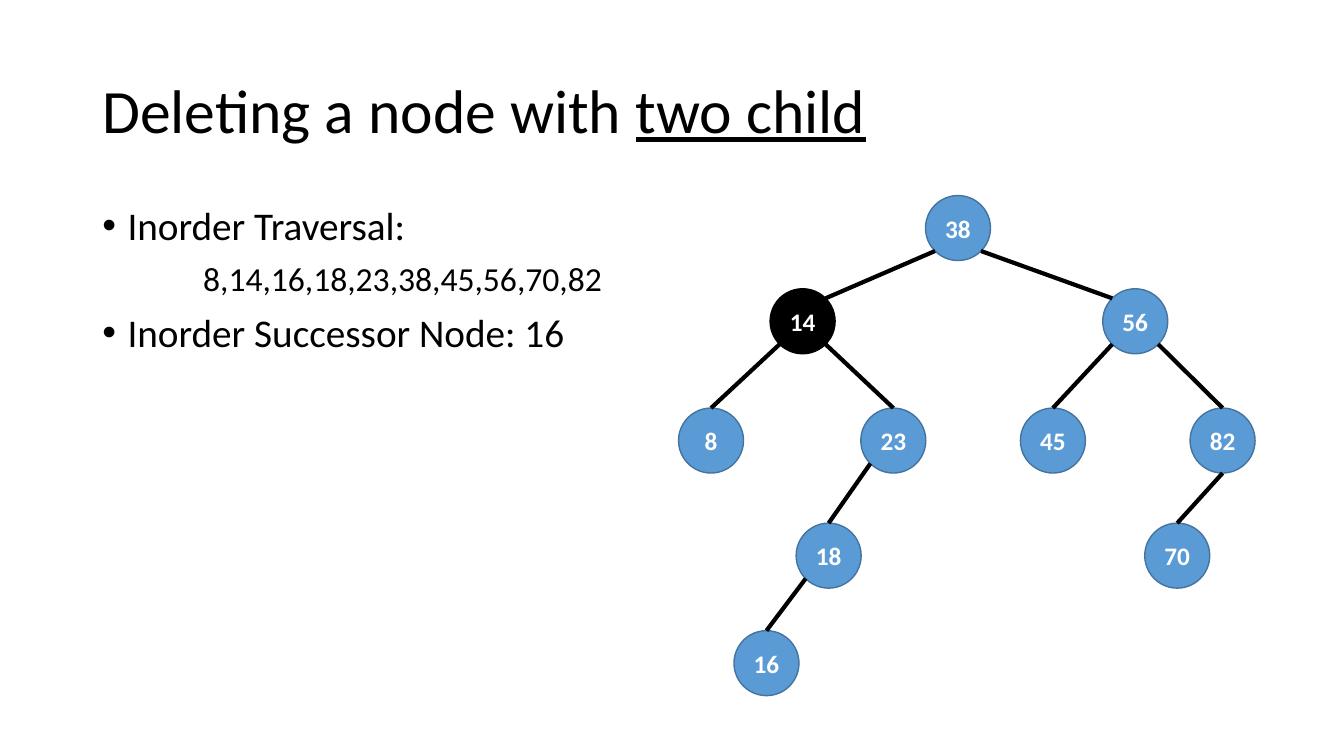
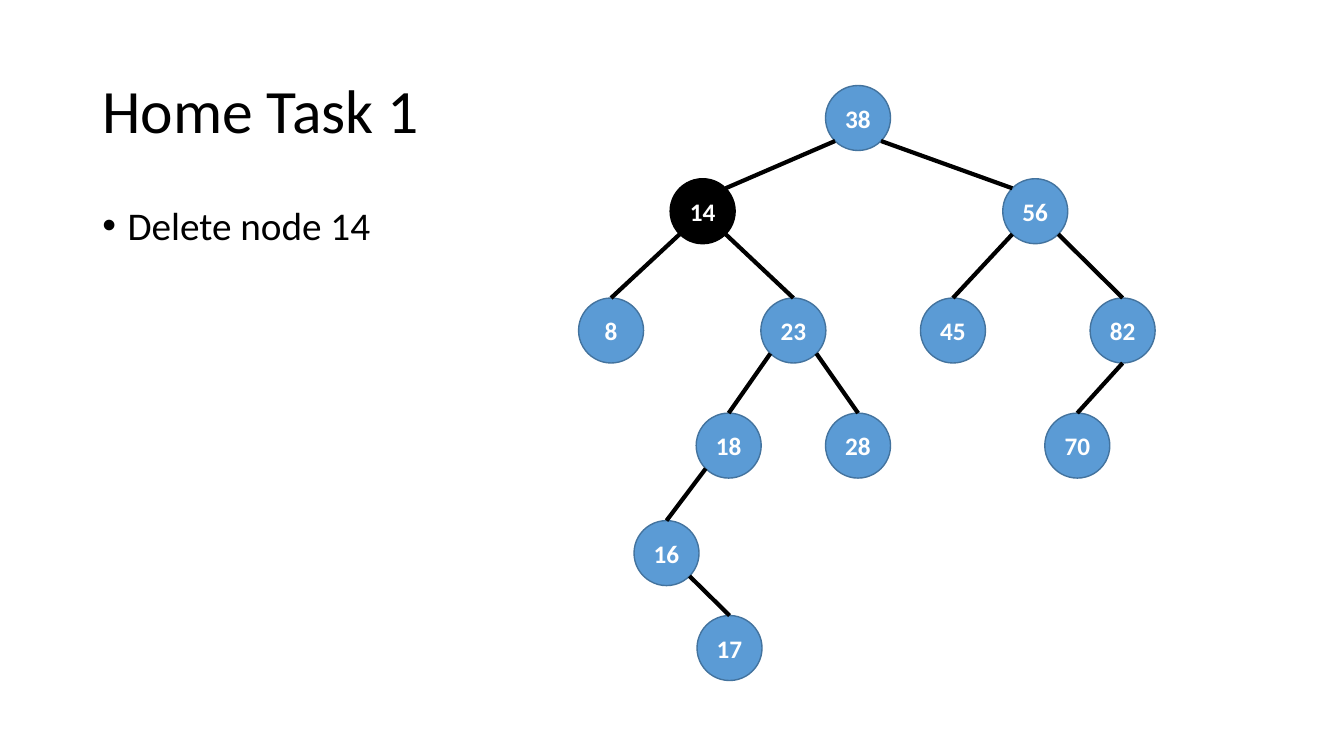
import math

import lxml.etree
import pptx
import pptx.dml.color
import pptx.enum.shapes
import pptx.enum.text
import pptx.oxml.ns
import pptx.util

COLORS = {"ink": "000000", "node": "5B9BD5", "outline": "43739E", "label": "FFFFFF"}
FONTS = {
    "title": {"name": "Calibri", "size": pptx.util.Pt(44)},
    "bullet": {"name": "Calibri", "size": pptx.util.Pt(28)},
    "detail": {"name": "Calibri", "size": pptx.util.Pt(24)},
    "node": {"name": "Calibri", "size": pptx.util.Pt(18), "bold": True},
}
MIDDLE = pptx.enum.text.MSO_ANCHOR.MIDDLE
FRAMES = {
    "title": {"word_wrap": True, "vertical_anchor": MIDDLE},
    "body": {"word_wrap": True},
    "node": {"word_wrap": False, "vertical_anchor": MIDDLE, "margin_left": 0,
             "margin_right": 0, "margin_top": 0, "margin_bottom": 0},
}
INDENTS = {"bullet": (0.25, -0.25), "detail": (1, 0)}
AREAS = {"title": (11, 4.8, 138, 17.4), "body": (11, 24, 68, 57.1)}

LEVELS = [0, 11.1, 25.3, 39, 51.8, 63.1]
RADIUS = 3.87
DIAGONAL = RADIUS / math.sqrt(2)
TREE = {
    38: (None, 0, 0),
    14: (38, -18.5, 1),
    56: (38, 21.1, 1),
    8: (14, -29.4, 2),
    23: (14, -7.7, 2),
    45: (56, 11.3, 2),
    82: (56, 31.5, 2),
    18: (23, -15.4, 3),
    28: (23, 0, 3),
    70: (82, 26.1, 3),
    16: (18, -22.8, 4),
    17: (16, -15.3, 5),
}
DELETED = 14
BOTTOM_EXIT = 82

SLIDES = [
    {
        "title": [("Deleting a node with ", False), ("two child", True)],
        "body": [
            ("bullet", "Inorder Traversal:"),
            ("detail", "8,14,16,18,23,38,45,56,70,82"),
            ("bullet", "Inorder Successor Node: 16"),
        ],
        "root": (114.05, 27.15),
        "absent": {28, 17},
    },
    {
        "title": [("Home Task 1", False)],
        "body": [("bullet", "Delete node 14")],
        "root": (102.15, 14.05),
        "absent": set(),
    },
]

presentation = pptx.Presentation()
presentation.slide_width = pptx.util.Inches(13.33)
presentation.slide_height = pptx.util.Inches(7.5)
COLUMN = presentation.slide_width / 160
ROW = presentation.slide_height / 90


def place(*lengths):
    return [round(length * unit) for length, unit in zip(lengths, (COLUMN, ROW) * 2)]


def add_run(paragraph, text, style, color, **extra):
    run = paragraph.add_run()
    run.text = text
    for name, value in {**FONTS[style], **extra}.items():
        setattr(run.font, name, value)
    run.font.color.rgb = pptx.dml.color.RGBColor.from_string(COLORS[color])


for content in SLIDES:
    slide = presentation.slides.add_slide(presentation.slide_layouts[6])
    frames = {}
    for part, area in AREAS.items():
        frames[part] = slide.shapes.add_textbox(*place(*area)).text_frame
        for name, value in FRAMES[part].items():
            setattr(frames[part], name, value)

    paragraph = frames["title"].paragraphs[0]
    paragraph.line_spacing = 0.9
    for text, underline in content["title"]:
        add_run(paragraph, text, "title", "ink", underline=underline)

    for index, (style, text) in enumerate(content["body"]):
        paragraph = frames["body"].add_paragraph() if index else frames["body"].paragraphs[0]
        properties = paragraph._p.get_or_add_pPr()
        for name, inches in zip(("marL", "indent"), INDENTS[style]):
            properties.set(name, str(int(pptx.util.Inches(inches))))
        if style == "bullet":
            font = lxml.etree.SubElement(properties, pptx.oxml.ns.qn("a:buFont"))
            font.set("typeface", "Arial")
            bullet = lxml.etree.SubElement(properties, pptx.oxml.ns.qn("a:buChar"))
            bullet.set("char", "•")
        paragraph.line_spacing = 0.9
        paragraph.space_before = pptx.util.Pt(10 if index else 0)
        add_run(paragraph, text, style, "ink")

    root_column, root_row = content["root"]
    centers = {
        key: (root_column + offset, root_row + LEVELS[level])
        for key, (parent, offset, level) in TREE.items()
        if key not in content["absent"]
    }

    for key, (column, row) in centers.items():
        shape = slide.shapes.add_shape(
            pptx.enum.shapes.MSO_SHAPE.OVAL,
            *place(column - RADIUS, row - RADIUS, 2 * RADIUS, 2 * RADIUS),
        )
        fill, outline = ("ink", "ink") if key == DELETED else ("node", "outline")
        shape.shadow.inherit = False
        shape.fill.solid()
        shape.fill.fore_color.rgb = pptx.dml.color.RGBColor.from_string(COLORS[fill])
        shape.line.color.rgb = pptx.dml.color.RGBColor.from_string(COLORS[outline])
        shape.line.width = pptx.util.Pt(1)
        for name, value in FRAMES["node"].items():
            setattr(shape.text_frame, name, value)
        paragraph = shape.text_frame.paragraphs[0]
        paragraph.alignment = pptx.enum.text.PP_ALIGN.CENTER
        add_run(paragraph, str(key), "node", "label")

    for key, (column, row) in centers.items():
        parent, offset, level = TREE[key]
        if parent is None:
            continue
        parent_column, parent_row = centers[parent]
        side = math.copysign(DIAGONAL, column - parent_column)
        if parent == BOTTOM_EXIT:
            start = (parent_column, parent_row + RADIUS)
        else:
            start = (parent_column + side, parent_row + DIAGONAL)
        if level == 1:
            end = (column - side, row - DIAGONAL)
        else:
            end = (column, row - RADIUS)
        connector = slide.shapes.add_connector(
            pptx.enum.shapes.MSO_CONNECTOR.STRAIGHT, *place(*start, *end)
        )
        connector.line.color.rgb = pptx.dml.color.RGBColor.from_string(COLORS["ink"])
        connector.line.width = pptx.util.Pt(3)
        lxml.etree.SubElement(connector._element.spPr, pptx.oxml.ns.qn("a:effectLst"))

presentation.save("out.pptx")
